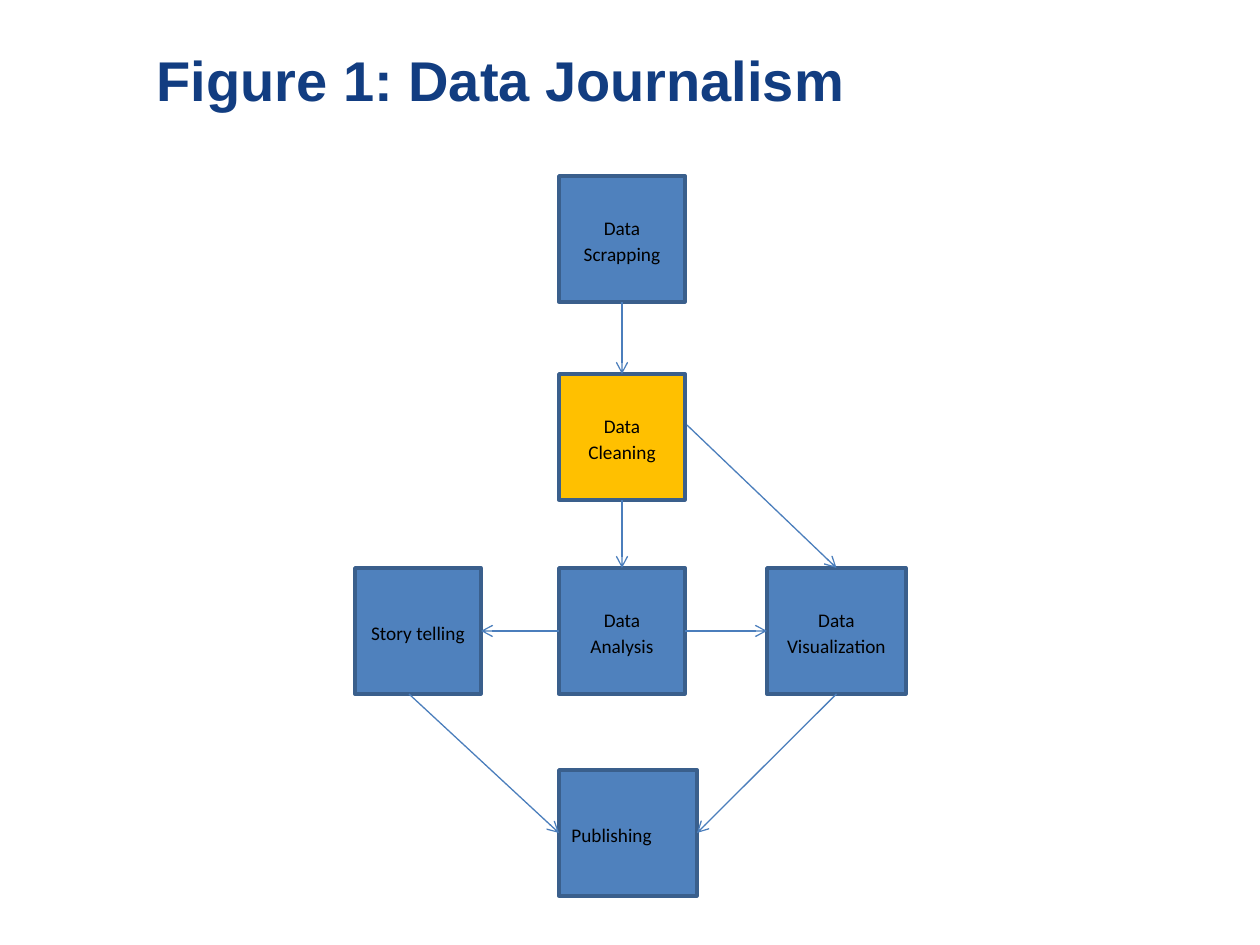
import pptx
import pptx.util
import pptx.dml.color
import pptx.enum.shapes
import pptx.enum.text
import pptx.oxml
import pptx.oxml.ns

SCALE = 914400 // 126  # EMU in one px
SIDE = 126
TOP, LEFT, BOTTOM, RIGHT = range(4)
ALIGN = pptx.enum.text.PP_ALIGN
MIDDLE = pptx.enum.text.MSO_ANCHOR.MIDDLE
COLORS = {
    "title": "123D81",
    "box": "4F81BD",
    "focus": "FFC000",
    "edge": "3A5F8C",
    "arrow": "4B7EBC",
    "text": "000000",
}


def px(*sizes):
    return [pptx.util.Emu(size * SCALE) for size in sizes]


def color(name):
    return pptx.dml.color.RGBColor.from_string(COLORS[name])


def style(par, face, size, tone, align, bold=False):
    par.alignment = align
    par.font.name = face
    par.font.size = pptx.util.Pt(size)
    par.font.bold = bold
    par.font.color.rgb = color(tone)


def add_title(slide, text):
    title = slide.shapes.title
    title.left, title.top, title.width, title.height = px(144, 34, 1068, 91)
    frame = title.text_frame
    frame.text = text
    frame.vertical_anchor = MIDDLE
    style(frame.paragraphs[0], "Arial", 32, "title", ALIGN.LEFT, True)


def add_box(slide, text, left, top, width=SIDE, fill="box", align=ALIGN.CENTER):
    kind = pptx.enum.shapes.MSO_SHAPE.RECTANGLE
    box = slide.shapes.add_shape(kind, *px(left, top, width, SIDE))
    box.shadow.inherit = False
    box.fill.solid()
    box.fill.fore_color.rgb = color(fill)
    box.line.color.rgb = color("edge")
    box.line.width = pptx.util.Pt(2)
    frame = box.text_frame
    frame.text = text
    frame.word_wrap = True
    frame.vertical_anchor = MIDDLE
    par = frame.paragraphs[0]
    par.line_spacing = 1.15
    par.space_after = pptx.util.Pt(10)
    style(par, "Calibri", 11, "text", align)
    return box


def add_arrow(slide, start, end):
    """Each end is a (box, side) pair to join, or a free (x, y) point in px."""
    kind = pptx.enum.shapes.MSO_CONNECTOR.STRAIGHT
    free = [end_at if isinstance(end_at[0], int) else (0, 0)
            for end_at in (start, end)]
    line = slide.shapes.add_connector(kind, *px(*free[0], *free[1]))
    if not isinstance(start[0], int):
        line.begin_connect(*start)
    if not isinstance(end[0], int):
        line.end_connect(*end)
    line.line.color.rgb = color("arrow")
    line.line.width = pptx.util.Pt(0.75)
    qn = pptx.oxml.ns.qn
    tail = line.line._get_or_add_ln().makeelement(qn("a:tailEnd"), {"type": "arrow"})
    line.line._get_or_add_ln().append(tail)
    props = line._element.spPr
    props.append(props.makeelement(qn("a:effectLst"), {}))


def main():
    deck = pptx.Presentation()
    deck.slide_width, deck.slide_height = px(1260, 945)
    slide = deck.slides.add_slide(deck.slide_layouts[5])
    add_title(slide, "Figure 1: Data Journalism")

    mid, row = 559, 568
    scrap = add_box(slide, "Data Scrapping", mid, 176)
    clean = add_box(slide, "Data Cleaning", mid, 374, fill="focus")
    study = add_box(slide, "Data Analysis", mid, row)
    story = add_box(slide, "Story telling", 355, row)
    chart = add_box(slide, "Data Visualization", 767, row, 139)
    issue = add_box(slide, "Publishing", mid, 770, 138, align=ALIGN.LEFT)

    for start, end in (
        ((scrap, BOTTOM), (clean, TOP)),
        ((clean, BOTTOM), (study, TOP)),
        ((study, LEFT), (story, RIGHT)),
        ((study, RIGHT), (chart, LEFT)),
        ((687, 425), (chart, TOP)),
        ((409, 694), (issue, LEFT)),
        ((chart, BOTTOM), (issue, RIGHT)),
    ):
        add_arrow(slide, start, end)

    deck.save("out.pptx")


if __name__ == "__main__":
    main()
